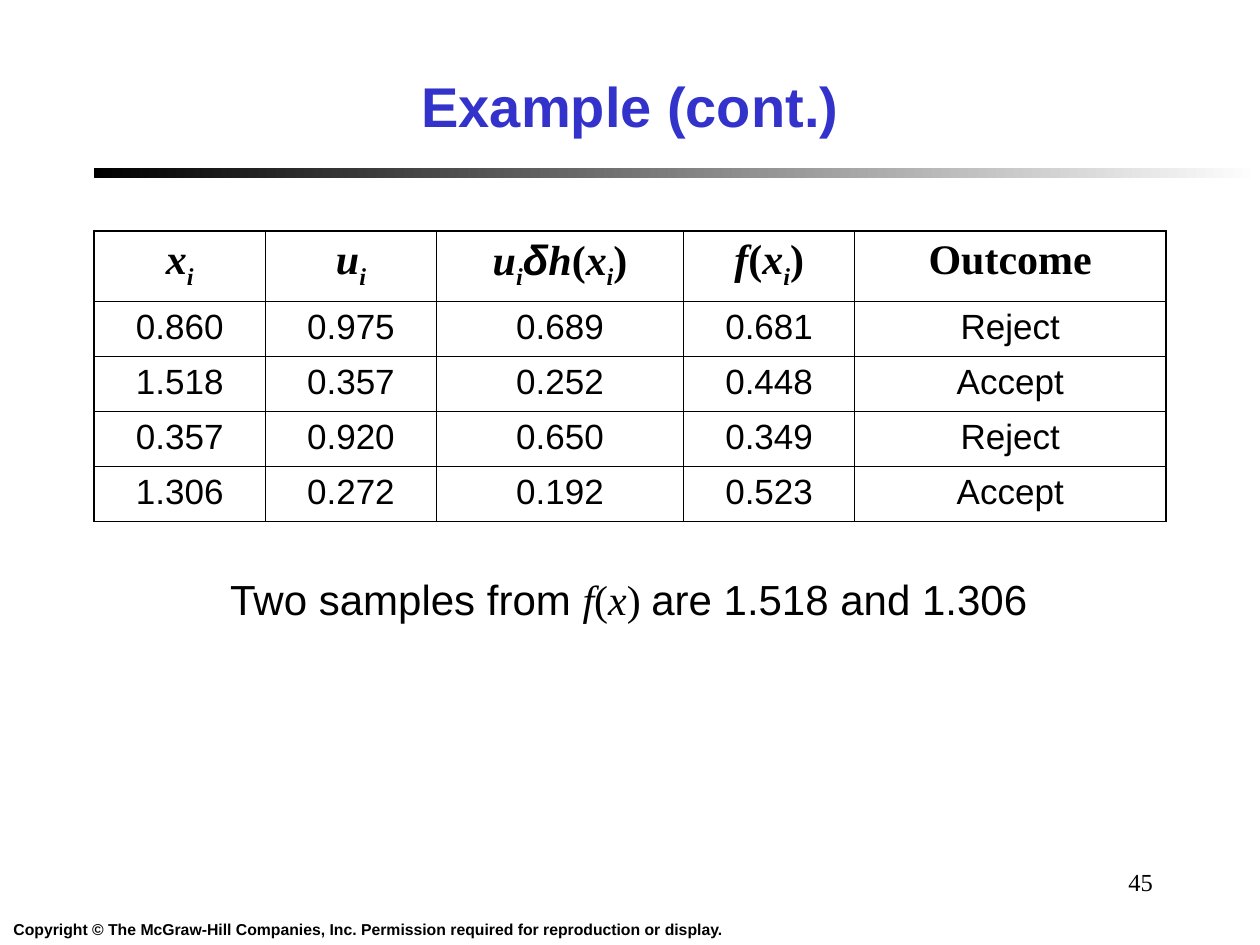
from lxml import etree
from pptx import Presentation
from pptx.dml.color import RGBColor
from pptx.enum import shapes, text
from pptx.oxml import ns
from pptx.util import Cm, Pt

HUES = {"ink": "000000", "title": "3333CC", "fade": "FFFFFF"}
SANS, SERIF = "Arial", "Times New Roman"
THIN, THICK = Pt(0.45), Pt(1.08)
ALIGN = text.PP_ALIGN

WIDTHS = [3.45, 3.45, 4.98, 3.45, 6.27]
HEIGHTS = [1.41] + [1.11] * 4
X_SUB = [("x", "i"), ("i", "i_")]
U_SUB = [("u", "i"), ("i", "i_")]
ARG = [("(", ""), *X_SUB, (")", "")]
HEADS = [
    X_SUB,
    U_SUB,
    [*U_SUB, ("δ", "is"), ("h", "i"), *ARG],
    [("f", "i"), *ARG],
    [("Outcome", "")],
]
ROWS = [
    ["0.860", "0.975", "0.689", "0.681", "Reject"],
    ["1.518", "0.357", "0.252", "0.448", "Accept"],
    ["0.357", "0.920", "0.650", "0.349", "Reject"],
    ["1.306", "0.272", "0.192", "0.523", "Accept"],
]


def rgb(name):
    return RGBColor.from_string(HUES[name])


def write(frame, runs, size, align=ALIGN.CENTER, face=SERIF, bold=False, hue="ink"):
    """Add runs of (words, marks); marks: i italic, s sans, _ subscript."""
    para = frame.paragraphs[0]
    para.alignment = align
    for words, marks in runs:
        run = para.add_run()
        run.text = words
        look = {"size": Pt(size), "bold": bold, "italic": "i" in marks,
                "name": SANS if "s" in marks else face}
        for key, value in look.items():
            setattr(run.font, key, value)
        run.font.color.rgb = rgb(hue)
        if "_" in marks:
            run.font._element.set("baseline", "-25000")


def label(slide, box, runs, size, wrap=False, **look):
    frame = slide.shapes.add_textbox(*map(Cm, box)).text_frame
    frame.word_wrap = wrap
    write(frame, runs, size, **look)


def heading(slide, box, words):
    title = slide.shapes.title
    for key, value in zip(("left", "top", "width", "height"), box):
        setattr(title, key, Cm(value))
    title.text_frame.vertical_anchor = text.MSO_ANCHOR.MIDDLE
    write(title.text_frame, [(words, "")], 32, face=SANS, bold=True, hue="title")


def rule(slide, box):
    bar = slide.shapes.add_shape(shapes.MSO_SHAPE.RECTANGLE, *map(Cm, box))
    bar.shadow.inherit = False
    bar.line.fill.background()
    bar.fill.gradient()
    bar.fill.gradient_angle = 0
    for stop, hue, place in zip(bar.fill.gradient_stops, ("ink", "fade"), (0, 1)):
        stop.color.rgb = rgb(hue)
        stop.position = place


def border(cell, edges):
    """Draw each side; edges tells which sides lie on the table's rim."""
    props = cell._tc.get_or_add_tcPr()
    for side, rim in edges.items():
        line = etree.SubElement(props, ns.qn(f"a:ln{side}"), w=str(THICK if rim else THIN))
        fill = etree.SubElement(line, ns.qn("a:solidFill"))
        etree.SubElement(fill, ns.qn("a:srgbClr"), val=HUES["ink"])


def samples(slide, left, top):
    rows, cols = len(HEIGHTS), len(WIDTHS)
    size = Cm(sum(WIDTHS)), Cm(sum(HEIGHTS))
    grid = slide.shapes.add_table(rows, cols, Cm(left), Cm(top), *size).table
    grid.first_row = grid.horz_banding = False
    for col, width in zip(grid.columns, WIDTHS):
        col.width = Cm(width)
    for row, height in zip(grid.rows, HEIGHTS):
        row.height = Cm(height)
    for r in range(rows):
        for c in range(cols):
            cell = grid.cell(r, c)
            border(cell, {"L": c == 0, "R": c == cols - 1, "T": r == 0, "B": r == rows - 1})
            cell.fill.background()
            if r == 0:
                write(cell.text_frame, HEADS[c], 24, bold=True)
            else:
                write(cell.text_frame, [(ROWS[r - 1][c], "")], 20, face=SANS)


def main():
    deck = Presentation()
    deck.slide_width, deck.slide_height = Cm(25.4), Cm(19.05)
    slide = deck.slides.add_slide(deck.slide_layouts[5])
    rule(slide, (1.9, 3.39, 23.5, 0.2))
    label(slide, (0, 18.42, 14.83, 0.64),
          [("Copyright © The McGraw-Hill Companies, Inc. "
            "Permission required for reproduction or display.", "")],
          9, face=SANS, bold=True)
    label(slide, (18.2, 17.36, 5.29, 1.27), [("45", "")], 14, wrap=True, align=ALIGN.RIGHT)
    heading(slide, (0.64, 0.85, 24.13, 2.54), "Example (cont.)")
    samples(slide, 1.9, 4.66)
    label(slide, (4.39, 11.43, 16.59, 1.27),
          [("Two samples from ", "s"), ("f", "i"), ("(", ""), ("x", "i"), (") ", ""),
           ("are 1.518 and 1.306", "s")], 24, align=ALIGN.LEFT)
    deck.save("out.pptx")


if __name__ == "__main__":
    main()
